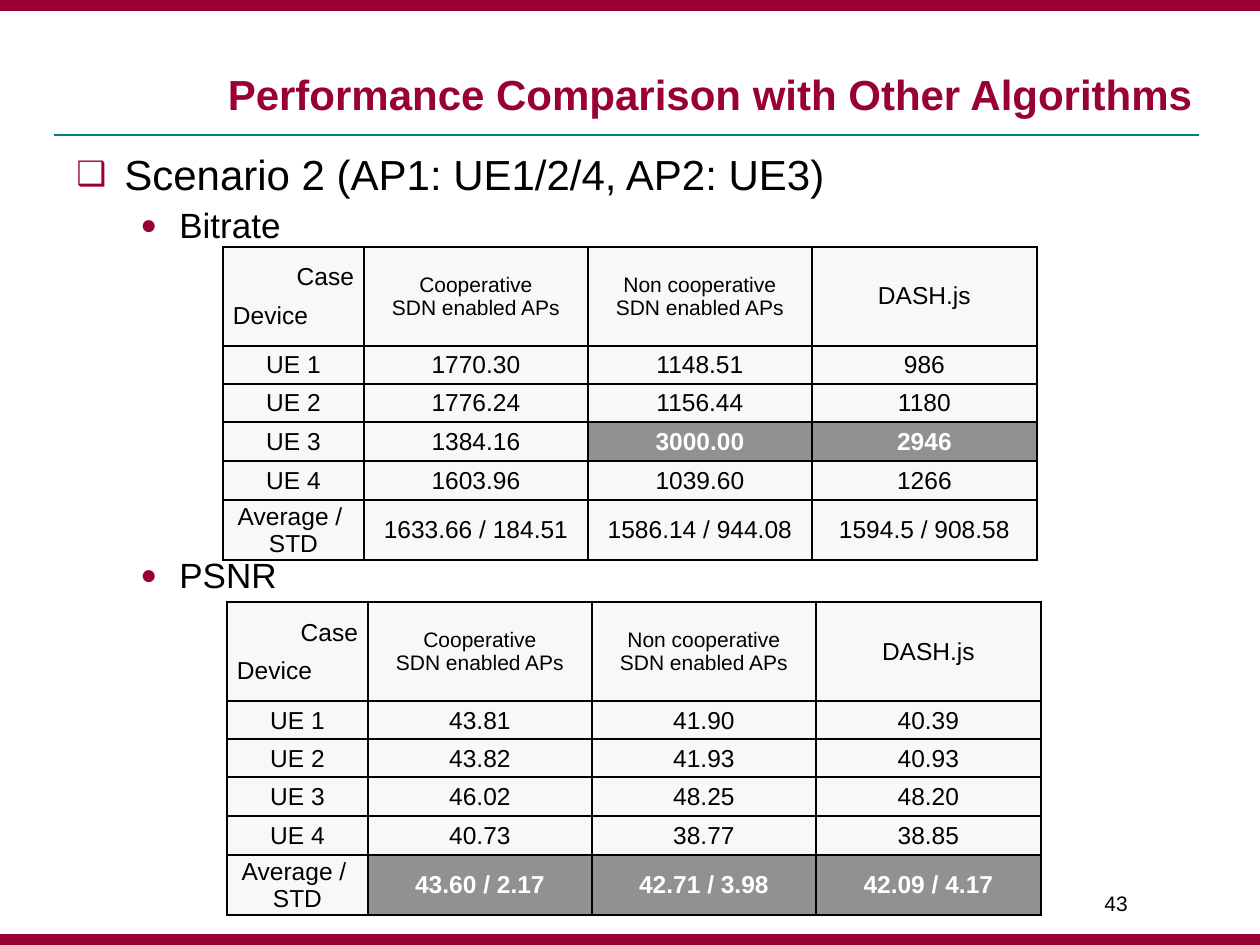
from pptx import Presentation
from pptx.dml.color import RGBColor as RGB
from pptx.enum.shapes import MSO_CONNECTOR as Conn, MSO_SHAPE as Shape
from pptx.enum.text import MSO_ANCHOR as Anchor, PP_ALIGN as Align
from pptx.oxml import parse_xml
from pptx.oxml.ns import nsdecls
from pptx.util import Pt

WINE = RGB(0x99, 0x00, 0x33)
TEAL = RGB(0x00, 0x80, 0x80)
BLACK = RGB(0x00, 0x00, 0x00)
WHITE = RGB(0xFF, 0xFF, 0xFF)
PALE = RGB(0xF8, 0xF8, 0xF8)
GREY = RGB(0x91, 0x91, 0x91)

HEAD = ["Case\nDevice", "Cooperative\nSDN enabled APs",
        "Non cooperative\nSDN enabled APs", "DASH.js"]
BITRATE = [
    ["UE 1", "1770.30", "1148.51", "986"],
    ["UE 2", "1776.24", "1156.44", "1180"],
    ["UE 3", "1384.16", "3000.00", "2946"],
    ["UE 4", "1603.96", "1039.60", "1266"],
    ["Average / \nSTD", "1633.66 / 184.51", "1586.14 / 944.08", "1594.5 / 908.58"],
]
PSNR = [
    ["UE 1", "43.81", "41.90", "40.39"],
    ["UE 2", "43.82", "41.93", "40.93"],
    ["UE 3", "46.02", "48.25", "48.20"],
    ["UE 4", "40.73", "38.77", "38.85"],
    ["Average / \nSTD", "43.60 / 2.17", "42.71 / 3.98", "42.09 / 4.17"],
]


def px(n):
    return round(n * 914400 / 126)


class Deck:
    font = "Arial"

    def __init__(self, wide, high):
        self.prs = Presentation()
        self.prs.slide_width, self.prs.slide_height = px(wide), px(high)
        self.slide = self.prs.slides.add_slide(self.prs.slide_layouts[5])
        self.shapes = self.slide.shapes

    def run(self, para, text, size, color=BLACK, bold=False):
        run = para.add_run()
        run.text = text
        font = run.font
        font.name, font.size, font.bold = self.font, Pt(size), bold
        font.color.rgb = color

    def title(self, text, x, y, w, h):
        box = self.shapes.title
        box.left, box.top, box.width, box.height = map(px, (x, y, w, h))
        frame = box.text_frame
        frame.word_wrap = True
        frame.vertical_anchor = Anchor.BOTTOM
        para = frame.paragraphs[0]
        para.alignment = Align.RIGHT
        self.run(para, text, 24, WINE, True)

    def bar(self, x, y, w, h):
        bar = self.shapes.add_shape(Shape.RECTANGLE, *map(px, (x, y, w, h)))
        bar.shadow.inherit = False
        bar.fill.solid()
        bar.fill.fore_color.rgb = bar.line.color.rgb = WINE
        bar.line.width = Pt(0.75)

    def rule(self, x1, y1, x2, y2):
        line = self.shapes.add_connector(Conn.STRAIGHT, *map(px, (x1, y1, x2, y2)))
        line.line.color.rgb = TEAL
        line.line.width = Pt(1)
        fx = parse_xml(f"<a:effectLst {nsdecls('a')}/>")
        line._element.spPr.append(fx)

    def text(self, x, y, w, h):
        frame = self.shapes.add_textbox(*map(px, (x, y, w, h))).text_frame
        frame.word_wrap = True
        return frame

    def bullet(self, para, text, size, mark, left, hang, gap=0):
        props = para._p.get_or_add_pPr()
        props.set("marL", str(px(left)))
        props.set("indent", str(px(-hang)))
        for tag in (f'<a:buClr {{}}><a:srgbClr val="{WINE}"/></a:buClr>',
                    '<a:buSzPct {} val="80000"/>',
                    f'<a:buFont {{}} typeface="{self.font}"/>',
                    f'<a:buChar {{}} char="{mark}"/>'):
            props.append(parse_xml(tag.format(nsdecls("a"))))
        if gap:
            para.space_before = Pt(gap)
        self.run(para, text, size)

    def border(self, cell):
        props = cell._tc.get_or_add_tcPr()
        for side in "LRTB":
            props.append(parse_xml(
                f'<a:ln{side} {nsdecls("a")} w="12700"><a:solidFill>'
                f'<a:srgbClr val="{BLACK}"/></a:solidFill></a:ln{side}>'))

    def cell(self, cell, text, size, pad, dark, corner):
        self.border(cell)
        cell.fill.solid()
        cell.fill.fore_color.rgb = GREY if dark else PALE
        cell.vertical_anchor = Anchor.MIDDLE
        (cell.margin_left, cell.margin_top,
         cell.margin_right, cell.margin_bottom) = map(px, pad)
        frame = cell.text_frame
        for i, part in enumerate(text.split("\n")):
            para = frame.add_paragraph() if i else frame.paragraphs[0]
            para.alignment = Align.CENTER
            if corner:
                para.alignment = Align.LEFT if i else Align.RIGHT
                if i:
                    para.space_before = Pt(6)
            self.run(para, part, size, WHITE if dark else BLACK, dark)

    def table(self, x, y, rows, dark):
        cols = [141, 224, 224, 225]
        highs = [99, 38, 38, 39, 39, 60]
        grid = self.shapes.add_table(
            len(highs), len(cols), *map(px, (x, y, sum(cols), sum(highs)))).table
        grid.first_row = grid.horz_banding = False
        for col, wide in zip(grid.columns, cols):
            col.width = px(wide)
        for row, high in zip(grid.rows, highs):
            row.height = px(high)
        for r, row in enumerate([HEAD] + rows):
            for c, text in enumerate(row):
                corner = r == c == 0
                size = 12 if r == 0 and c in (1, 2) else 14
                pad = (1, 1, 1, 0) if r else (10, 0, 10, 0) if corner else (12, 6, 12, 6)
                self.cell(grid.cell(r, c), text, size, pad, (r, c) in dark, corner)


def main():
    deck = Deck(1260, 945)
    deck.rule(54, 135, 1199, 135)
    for y in (0, 935):
        deck.bar(0, y, 1260, 10)
    deck.title("Performance Comparison with Other Algorithms", 63, 32, 1142, 93)
    deck.table(223, 247, BITRATE, {(3, 2), (3, 3)})
    deck.table(227, 602, PSNR, {(5, 1), (5, 2), (5, 3)})
    body = deck.text(64, 142, 1134, 714)
    deck.bullet(body.paragraphs[0], "Scenario 2 (AP1: UE1/2/4, AP2: UE3)", 24, "❑", 48, 48)
    for text, gap in (("Bitrate", 3), ("PSNR", 176)):
        para = body.add_paragraph()
        para.level = 1
        deck.bullet(para, text, 20, "●", 103, 39, gap)
    deck.run(deck.text(1092, 884, 105, 50).paragraphs[0], "43", 12)
    deck.prs.save("out.pptx")


if __name__ == "__main__":
    main()
